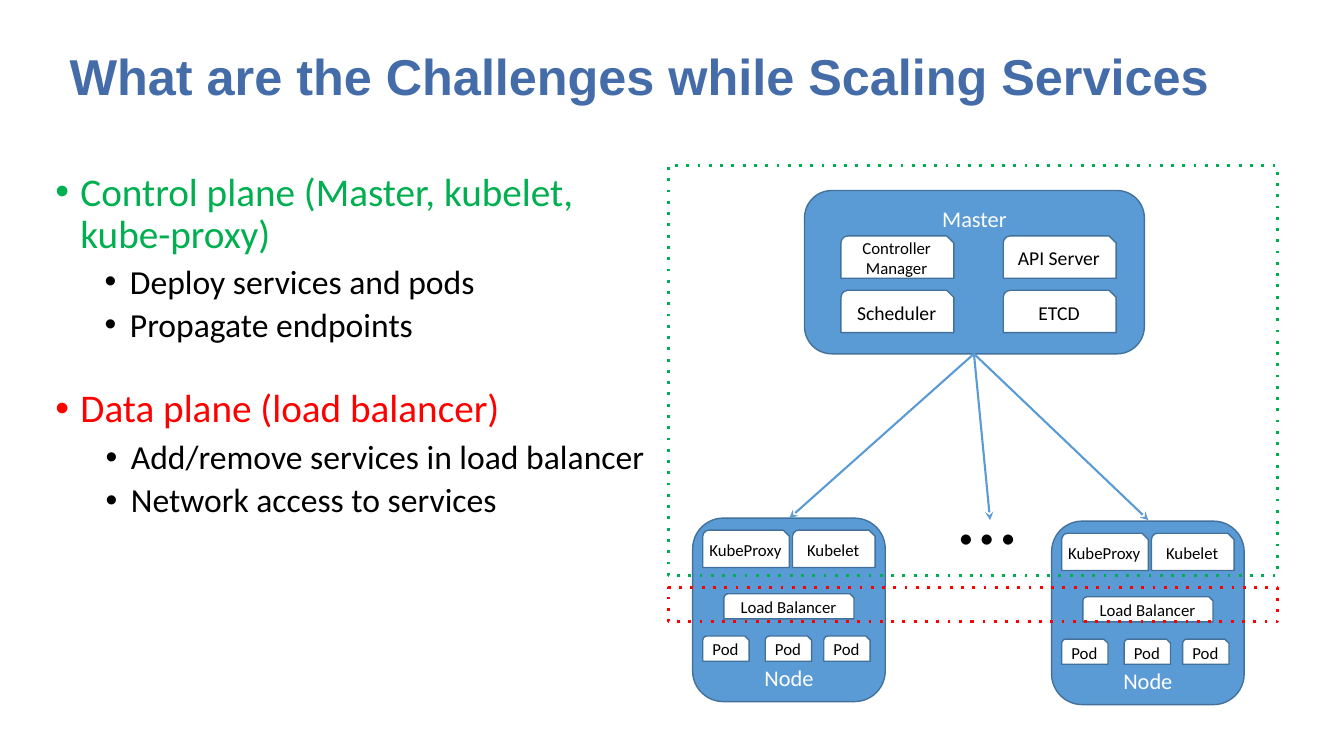
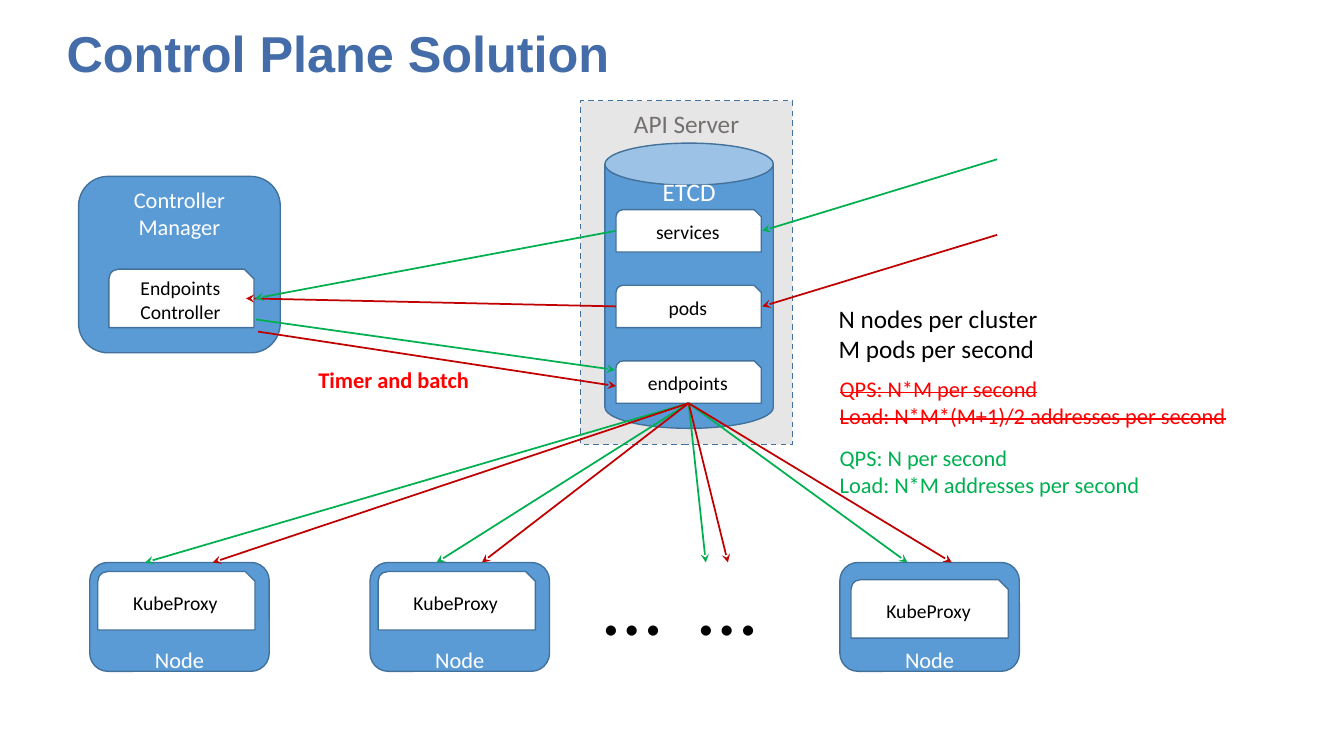
from dataclasses import dataclass

from lxml.etree import SubElement
from pptx import Presentation
from pptx.dml.color import RGBColor
from pptx.enum.shapes import MSO_CONNECTOR, MSO_SHAPE
from pptx.enum.text import MSO_ANCHOR, MSO_AUTO_SIZE, PP_ALIGN
from pptx.oxml.ns import qn
from pptx.util import Inches, Pt

BLUE = RGBColor(0x5B, 0x9B, 0xD5)
EDGE = RGBColor(0x42, 0x71, 0x9B)
TITLE = RGBColor(0x44, 0x6C, 0xA9)
GREEN = RGBColor(0x00, 0xB0, 0x50)
RED = RGBColor(0xFF, 0x00, 0x00)
DARK_RED = RGBColor(0xC0, 0x00, 0x00)
BLACK = RGBColor(0x00, 0x00, 0x00)
WHITE = RGBColor(0xFF, 0xFF, 0xFF)
LIGHT_GREY = RGBColor(0xE7, 0xE6, 0xE6)
GREY = RGBColor(0x75, 0x70, 0x70)


@dataclass
class Box:
    x: float
    y: float
    w: float
    h: float
    text: str = ""
    size: float = 14
    shape: MSO_SHAPE = MSO_SHAPE.SNIP_ROUND_RECTANGLE
    fill: RGBColor | None = WHITE
    color: RGBColor = BLACK
    edge: RGBColor = EDGE
    weight: float = 1
    dash: str = ""
    top: float = 0
    bottom: float = 0


@dataclass
class Arrow:
    x1: float
    y1: float
    x2: float
    y2: float
    color: RGBColor
    weight: float = 1.25


def write(tf, text: str, *, size: float, color: RGBColor, font: str = "Calibri",
          bold: bool = False, strike: bool = False, align: PP_ALIGN = PP_ALIGN.LEFT,
          spacing: float = 1, before: float = 0, indent: float = 0) -> None:
    tf.word_wrap = True
    tf.auto_size = MSO_AUTO_SIZE.NONE
    for i, line in enumerate(text.split("\n")):
        p = tf.paragraphs[0] if i == 0 else tf.add_paragraph()
        if indent:
            pPr = p._p.get_or_add_pPr()
            pPr.set("marL", str(Inches(indent)))
            pPr.set("indent", str(Inches(-0.25)))
            SubElement(SubElement(pPr, qn("a:buClr")), qn("a:srgbClr"), val=str(color))
            SubElement(pPr, qn("a:buFont"), typeface="Arial")
            SubElement(pPr, qn("a:buChar"), char="•")
        p.alignment = align
        p.line_spacing = spacing
        if i:
            p.space_before = Pt(before)
        r = p.add_run()
        r.text = line
        r.font.name = font
        r.font.size = Pt(size)
        r.font.bold = bold
        r.font.color.rgb = color
        if strike:
            r._r.get_or_add_rPr().set("strike", "sngStrike")


def add_text(s, x: float, y: float, w: float, h: float, text: str, **fmt) -> None:
    sp = s.shapes.add_textbox(Inches(x), Inches(y), Inches(w), Inches(h))
    write(sp.text_frame, text, **fmt)


def add_box(s, b: Box) -> None:
    sp = s.shapes.add_shape(b.shape, Inches(b.x), Inches(b.y), Inches(b.w), Inches(b.h))
    sp.shadow.inherit = False
    if b.fill is None:
        sp.fill.background()
    else:
        sp.fill.solid()
        sp.fill.fore_color.rgb = b.fill
    sp.line.color.rgb = b.edge
    sp.line.width = Pt(b.weight)
    if b.dash:
        SubElement(sp._element.spPr.find(qn("a:ln")), qn("a:prstDash"), val=b.dash)
    if b.text:
        tf = sp.text_frame
        tf.margin_left = tf.margin_right = 0
        tf.margin_top, tf.margin_bottom = Inches(b.top), Inches(b.bottom)
        tf.vertical_anchor = MSO_ANCHOR.MIDDLE
        write(tf, b.text, size=b.size, color=b.color, align=PP_ALIGN.CENTER)


def add_panel(s, x: float, y: float, w: float, h: float, text: str,
              top: float = 0, bottom: float = 0) -> None:
    add_box(s, Box(x, y, w, h, text, 16, MSO_SHAPE.ROUNDED_RECTANGLE, BLUE, WHITE,
                   top=top, bottom=bottom))


def add_arrow(s, a: Arrow) -> None:
    c = s.shapes.add_connector(MSO_CONNECTOR.STRAIGHT, Inches(a.x1), Inches(a.y1),
                               Inches(a.x2), Inches(a.y2))
    c.line.color.rgb = a.color
    c.line.width = Pt(a.weight)
    spPr = c._element.spPr
    SubElement(spPr.find(qn("a:ln")), qn("a:tailEnd"), type="stealth")
    SubElement(spPr, qn("a:effectLst"))


def add_slide(prs, title: str, x: float, y: float, w: float, h: float):
    s = prs.slides.add_slide(prs.slide_layouts[5])
    sp = s.shapes.title
    sp.left, sp.top, sp.width, sp.height = Inches(x), Inches(y), Inches(w), Inches(h)
    sp.text_frame.vertical_anchor = MSO_ANCHOR.TOP
    write(sp.text_frame, title, size=36, color=TITLE, font="Arial", bold=True, spacing=0.9)
    return s


def add_ellipsis(s, x: float, y: float) -> None:
    add_text(s, x, y, 0.8, 1.11, "…", size=60, color=BLACK)


def add_worker(s, x: float, y: float) -> None:
    add_panel(s, x, y, 1.91, 1.82, "Node", top=1.35)
    parts = [Box(0.1, 0.12, 0.86, 0.37, "KubeProxy"),
             Box(0.99, 0.12, 0.82, 0.37, "Kubelet"),
             Box(0.31, 0.75, 1.29, 0.25, "Load Balancer")]
    parts += [Box(px, 1.17, 0.46, 0.25, "Pod") for px in (0.1, 0.72, 1.3)]
    for b in parts:
        add_box(s, Box(x + b.x, y + b.y, b.w, b.h, b.text, 12))


def build_challenges(prs) -> None:
    s = add_slide(prs, "What are the Challenges while Scaling Services", 0.59, 0.47, 12.2, 0.69)
    add_text(s, 0.45, 1.66, 5.43, 0.91, "Control plane (Master, kubelet, kube-proxy)",
             size=28, color=GREEN, spacing=0.9, indent=0.25)
    add_text(s, 0.45, 3.81, 4.73, 0.52, "Data plane (load balancer)",
             size=28, color=RED, spacing=0.9, indent=0.25)
    for x, y, text in (
            (0.44, 2.58, "Deploy services and pods\nPropagate endpoints"),
            (0.45, 4.32, "Add/remove services in load balancer\nNetwork access to services")):
        add_text(s, x, y, 6.18, 1.05, text, size=24, color=BLACK, spacing=0.9,
                 before=5, indent=0.75)

    add_panel(s, 7.98, 1.89, 3.37, 1.62, "Master", bottom=1.06)
    parts = (("Controller Manager", 12), ("API Server", 14), ("Scheduler", 14), ("ETCD", 14))
    for i, (text, size) in enumerate(parts):
        row, col = divmod(i, 2)
        add_box(s, Box(8.34 + 1.61 * col, 2.34 + 0.54 * row, 1.12, 0.42, text, size))
    add_worker(s, 6.87, 5.14)
    add_worker(s, 10.43, 5.17)
    add_ellipsis(s, 9.41, 4.52)
    for x, y in ((7.83, 5.14), (9.82, 5.16), (11.39, 5.16)):
        add_arrow(s, Arrow(9.66, 3.51, x, y, BLUE, 1.5))
    for y, h, color in ((5.83, 0.34, RED), (1.64, 4.07, GREEN)):
        add_box(s, Box(6.63, y, 6.04, h, shape=MSO_SHAPE.RECTANGLE, fill=None,
                       edge=color, weight=2, dash="dot"))


def build_solution(prs) -> None:
    s = add_slide(prs, "Control Plane Solution", 0.56, 0.24, 12, 0.62)
    add_box(s, Box(5.76, 1, 2.1, 3.41, "API Server", 18, MSO_SHAPE.RECTANGLE, LIGHT_GREY,
                   GREY, dash="dash", bottom=2.97))
    add_box(s, Box(6, 1.42, 1.67, 2.83, "ETCD", 18, MSO_SHAPE.CAN, BLUE, WHITE, bottom=2.07))
    for i, text in enumerate(("services", "pods", "endpoints")):
        add_box(s, Box(6.11, 2.08 + 0.75 * i, 1.44, 0.42, text))
    add_panel(s, 0.78, 1.75, 2, 1.75, "Controller\nManager", bottom=1.03)
    add_box(s, Box(1.08, 2.67, 1.44, 0.58, "Endpoints\nController"))
    for x, dx, dy in ((0.89, 0.08, 0.09), (3.67, 0.08, 0.09), (8.33, 0.11, 0.17)):
        add_panel(s, x, 5.58, 1.78, 1.08, "Node", top=0.84)
        add_box(s, Box(x + dx, 5.58 + dy, 1.56, 0.58, "KubeProxy"))
    for x in (5.89, 6.83):
        add_ellipsis(s, x, 5.42)

    arrows = [Arrow(9.89, 2.33, 7.56, 3.04, DARK_RED), Arrow(9.89, 1.58, 7.56, 2.29, GREEN),
              Arrow(6.11, 3.04, 2.44, 2.96, DARK_RED), Arrow(6.11, 2.29, 2.53, 2.96, GREEN),
              Arrow(2.56, 3.29, 6.11, 3.83, DARK_RED), Arrow(2.54, 3.17, 6.1, 3.67, GREEN)]
    for color, ends in ((GREEN, (1.44, 4.33, 7, 9)), (DARK_RED, (2.11, 4.78, 7.22, 9.44))):
        arrows += [Arrow(6.83, 4, x, 5.58, color) for x in ends]
    for a in arrows:
        add_arrow(s, a)

    add_text(s, 3.06, 3.58, 3.78, 0.37, "Timer and batch", size=16, color=RED, bold=True)
    add_text(s, 8.22, 2.96, 4.67, 0.71, "N nodes per cluster\nM pods per second",
             size=18, color=BLACK)
    add_text(s, 8.23, 3.67, 4.08, 0.64,
             "QPS: N*M per second\nLoad: N*M*(M+1)/2 addresses per second",
             size=16, color=RED, strike=True)
    add_text(s, 8.23, 4.36, 3.21, 0.64, "QPS: N per second\nLoad: N*M addresses per second",
             size=16, color=GREEN)


def main() -> None:
    prs = Presentation()
    prs.slide_width, prs.slide_height = Inches(13.33), Inches(7.5)
    build_challenges(prs)
    build_solution(prs)
    prs.save("out.pptx")


if __name__ == "__main__":
    main()
